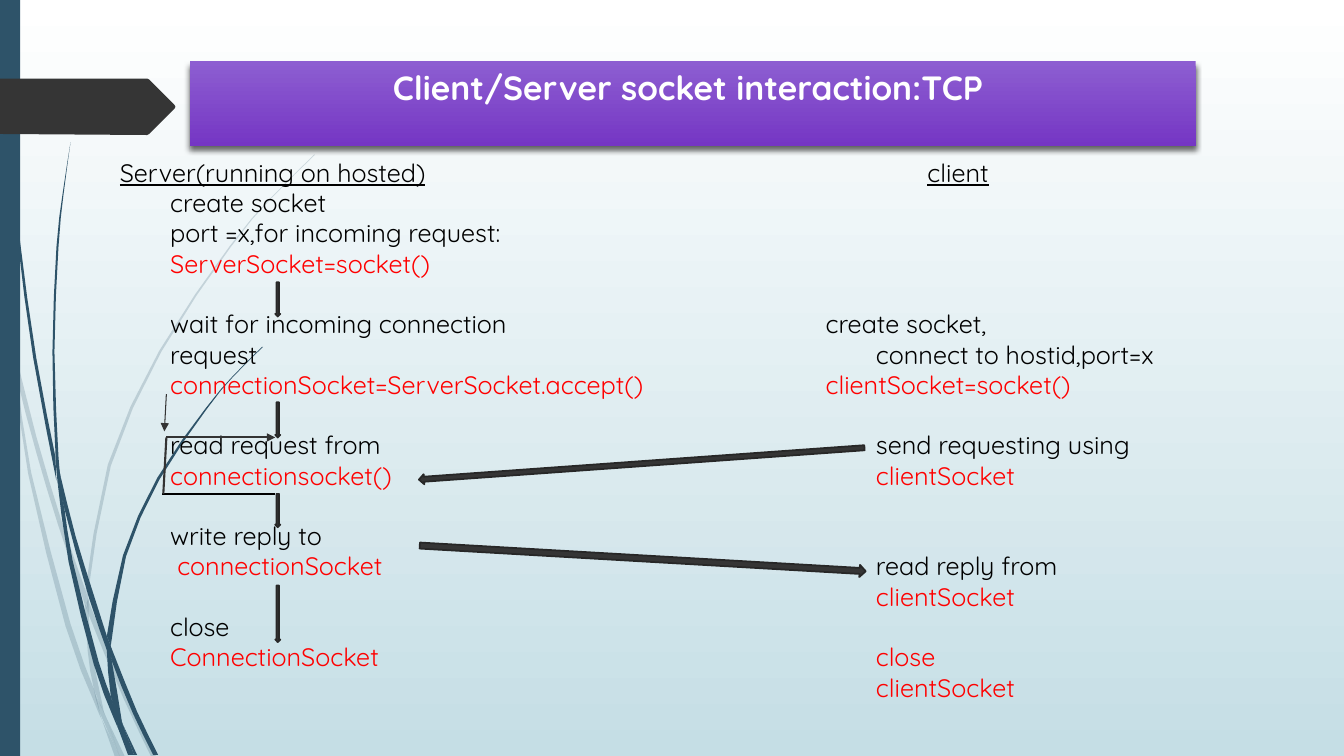
from lxml import etree
from pptx import Presentation
from pptx.dml.color import RGBColor
from pptx.enum.shapes import MSO_CONNECTOR, MSO_SHAPE
from pptx.enum.text import MSO_ANCHOR, PP_ALIGN
from pptx.oxml.ns import qn
from pptx.util import Inches, Pt

RECT, DOWN = MSO_SHAPE.RECTANGLE, MSO_SHAPE.DOWN_ARROW
LEFT, RIGHT = MSO_SHAPE.LEFT_ARROW, MSO_SHAPE.RIGHT_ARROW
STRAIGHT, TOP, CENTER = MSO_CONNECTOR.STRAIGHT, MSO_ANCHOR.TOP, PP_ALIGN.CENTER
TEAL, DARK, EDGE, RULE = "2E5369", "353535", "272727", "333333"
BLACK, RED, WHITE = "000000", "FF0000", "FFFFFF"


def rgb(color):
    return RGBColor.from_string(color)


def sub(parent, tag, **attrs):
    return etree.SubElement(parent, qn(tag), {k: str(v) for k, v in attrs.items()})


def smooth(points):
    """Catmull-Rom curve: the points, and one more midway between neighbours."""
    pts = [points[0], *points, points[-1]]
    curve = [points[0]]
    for a, b, c, d in zip(pts, pts[1:], pts[2:], pts[3:]):
        curve += [tuple((9 * (q + r) - p - u) / 16 for p, q, r, u in zip(a, b, c, d)), c]
    return curve


class Deck:
    font, size, pitch = "Quicksand", 18, 21.62

    def __init__(self, slide):
        self.s = slide

    def gradient(self, fill, start, end):
        fill.gradient()
        fill.gradient_angle = 270
        for stop, color in zip(fill.gradient_stops, (start, end)):
            stop.color.rgb = rgb(color)

    def paint(self, sp, fill, line=None):
        sp.shadow.inherit = False
        sp.fill.solid()
        sp.fill.fore_color.rgb = rgb(fill)
        if line:
            sp.line.color.rgb = rgb(line)
            sp.line.width = Pt(1.25)
        else:
            sp.line.fill.background()
        return sp

    def shape(self, kind, x, y, w, h, fill, line=None, rotation=0):
        sp = self.s.shapes.add_shape(kind, Inches(x), Inches(y), Inches(w), Inches(h))
        sp.rotation = rotation
        return self.paint(sp, fill, line)

    def outline(self, points, fill, opacity=100):
        pts = [(Inches(x), Inches(y)) for x, y in points]
        fb = self.s.shapes.build_freeform(*pts[0])
        fb.add_line_segments(pts[1:])
        sp = self.paint(fb.convert_to_shape(), fill)
        if opacity < 100:
            color = sp._element.spPr.find(qn("a:solidFill"))[0]
            sub(color, "a:alpha", val=opacity * 1000)

    def line(self, x1, y1, x2, y2, color, width=1.5, arrow=False):
        c = self.s.shapes.add_connector(
            STRAIGHT, Inches(x1), Inches(y1), Inches(x2), Inches(y2))
        c.line.color.rgb = rgb(color)
        c.line.width = Pt(width)
        if arrow:
            sub(c.line._get_or_add_ln(), "a:tailEnd", type="triangle")
        sub(c._element.spPr, "a:effectLst")

    def banner(self, x, y, w, h, text):
        sp = self.shape(RECT, x, y, w, h, WHITE)
        self.gradient(sp.fill, "8D5ED1", "7536C4")
        effects = sp._element.spPr.find(qn("a:effectLst"))
        shadow = sub(effects, "a:outerShdw", blurRad=Pt(4), dist=Pt(3),
                     dir=5400000, rotWithShape=0)
        sub(sub(shadow, "a:srgbClr", val=BLACK), "a:alpha", val=60000)
        sp.text_frame.vertical_anchor = TOP
        p = sp.text_frame.paragraphs[0]
        p.text, p.alignment = text, CENTER
        p.font.name, p.font.size, p.font.bold = self.font, Pt(24), True
        p.font.color.rgb = rgb(WHITE)

    def steps(self, x, y, w, h, rows):
        """Rows of line number and cells (tab stop, text, colour)."""
        tf = self.s.shapes.add_textbox(Inches(x), Inches(y), Inches(w), Inches(h)).text_frame
        tf.word_wrap = True
        last = -1
        for i, (row, *cells) in enumerate(rows):
            p = tf.add_paragraph() if i else tf.paragraphs[0]
            p.line_spacing = Pt(self.pitch)
            p.space_before = Pt((row - last - 1) * self.pitch)
            last = row
            tabs = sub(p._p.get_or_add_pPr(), "a:tabLst")
            p.font.name, p.font.size = self.font, Pt(self.size)
            for stop, text, color in cells:
                if stop:
                    sub(tabs, "a:tab", pos=Inches(stop), algn="l")
                    p.add_run().text = "\t"
                r = p.add_run()
                r.text = text
                r.font.color.rgb = rgb(color)
                r.font.underline = i == 0


prs = Presentation()
prs.slide_width, prs.slide_height = Inches(13.33), Inches(7.5)
d = Deck(prs.slides.add_slide(prs.slide_layouts[6]))
d.gradient(d.s.background.fill, WHITE, "C5DEE5")

# Decorative wisps: each piece has two edges; pale ones behind, solid in front
PALE = [
    ([(0, 2.82), (0.09, 3.22), (0.11, 3.5)], [(0, 2.99), (0.1, 3.44), (0.11, 3.5)]),
    ([(0.14, 3.45), (0.17, 3.76), (0.36, 4.49), (0.58, 5.22), (0.84, 5.99)],
     [(0.14, 3.45), (0.36, 4.33), (0.62, 5.2), (0.85, 5.86)]),
    ([(0.88, 5.96), (0.88, 6.1), (1.23, 6.94), (1.5, 7.51)],
     [(0.88, 5.96), (0.92, 6.07), (1.27, 6.92), (1.55, 7.51)]),
    ([(1.05, 7.11), (1.19, 7.51)], [(1.05, 7.11), (1.24, 7.51)]),
    ([(0.11, 3.5), (0.28, 4.7), (0.65, 6.21), (0.92, 6.93), (1.01, 7.14)],
     [(0.11, 3.5), (0.17, 3.76), (0.31, 4.69), (0.7, 6.19), (0.93, 6.83), (0.99, 7.07)]),
    ([(0.84, 5.99), (0.87, 6.46), (0.93, 6.83), (1.05, 7.11)],
     [(0.84, 5.99), (0.88, 6.1), (0.91, 6.46), (1.03, 7.06)]),
    ([(3.12, 1.53), (2.68, 1.97), (2.28, 2.44), (1.58, 3.48), (1.07, 4.61), (0.85, 5.84)],
     [(3.12, 1.54), (2.68, 1.98), (2.29, 2.45), (1.6, 3.49), (1.1, 4.62),
      (0.88, 5.84), (0.88, 5.96)]),
    ([(1.01, 7.14), (1.14, 7.51)], [(1.01, 7.14), (1.19, 7.51)]),
    ([(0.85, 5.86), (0.84, 5.99)], [(0.88, 5.96), (0.88, 6.1)]),
    ([(0.93, 6.83), (0.99, 7.07), (1.19, 7.51)], [(0.96, 6.92), (1.05, 7.11), (1.19, 7.51)]),
]
SOLID = [
    ([(0.03, 0), (0.04, 0.48), (0.07, 1.1), (0.17, 2.33), (0.33, 3.55), (0.56, 4.77)],
     [(0.04, 0), (0.05, 0.48), (0.08, 1.09), (0.19, 2.32), (0.36, 3.55), (0.55, 4.53)]),
    ([(0.6, 4.72), (0.64, 5.05), (0.88, 5.92), (1.06, 6.45)],
     [(0.6, 4.72), (0.75, 5.32), (0.93, 5.9), (1.06, 6.31)]),
    ([(1.1, 6.41), (1.11, 6.56), (1.32, 7.08), (1.52, 7.49)],
     [(1.1, 6.41), (1.13, 6.49), (1.36, 7.06), (1.57, 7.49)]),
    ([(0.57, 4.77), (0.68, 5.57), (0.93, 6.59), (1.11, 7.08), (1.17, 7.22)],
     [(0.57, 4.77), (0.64, 5.05), (0.72, 5.56), (0.98, 6.57), (1.1, 6.91), (1.16, 7.17)]),
    ([(0.7, 1.41), (0.62, 1.93), (0.56, 2.45), (0.52, 3.49), (0.55, 4.49), (0.6, 4.72)],
     [(0.7, 1.41), (0.63, 1.93), (0.58, 2.45), (0.54, 3.49), (0.58, 4.53), (0.6, 4.72)]),
    ([(1.22, 7.19), (1.33, 7.49)], [(1.22, 7.19), (1.36, 7.49)]),
    ([(0.55, 4.49), (0.57, 4.77), (0.64, 5.05)], [(0.55, 4.49), (0.6, 4.72), (0.64, 5.05)]),
    ([(2.6, 3.44), (2.31, 3.73), (2.04, 4.05), (1.56, 4.74), (1.22, 5.51), (1.06, 6.31)],
     [(2.61, 3.44), (2.31, 3.74), (2.05, 4.06), (1.58, 4.76), (1.25, 5.52),
      (1.11, 6.33), (1.1, 6.41)]),
    ([(1.17, 7.22), (1.27, 7.49)], [(1.17, 7.22), (1.31, 7.49)]),
    ([(1.06, 6.45), (1.1, 6.91), (1.22, 7.19)], [(1.06, 6.45), (1.11, 6.56), (1.21, 7.16)]),
    ([(1.06, 6.31), (1.06, 6.45)], [(1.1, 6.41), (1.11, 6.56)]),
    ([(1.1, 6.91), (1.17, 7.22), (1.3, 7.49)], [(1.1, 6.91), (1.22, 7.19), (1.33, 7.49)]),
]
for wisps, opacity in ((PALE, 20), (SOLID, 100)):
    for left, right in wisps:
        d.outline(smooth(left) + smooth(right)[::-1], TEAL, opacity)

# Side bar and pointer tab
d.shape(RECT, 0, 0, 0.2, 7.5, TEAL)
d.outline([(0, 0.78), (1.46, 0.78), (1.48, 0.79), (1.73, 1.04), (1.74, 1.06),
           (1.73, 1.08), (1.48, 1.33), (1.46, 1.34), (0, 1.33)], DARK)

# Heading
d.banner(1.88, 0.61, 9.98, 0.84, "Client/Server socket interaction:TCP ")

# Server steps with the client steps beside them
d.steps(1.09, 1.51, 11.33, 5.76, [
    (0, (0, "Server(running on hosted)", BLACK), (8.01, "client", BLACK)),
    (1, (0.5, "create socket", BLACK)),
    (2, (0.5, "port =x,for incoming request:", BLACK)),
    (3, (0.5, "ServerSocket=socket()", RED)),
    (5, (0.5, "wait for incoming connection", BLACK), (7, "create socket,", BLACK)),
    (6, (0.5, "request", BLACK), (7.5, "connect to hostid,port=x", BLACK)),
    (7, (0.5, "connectionSocket=ServerSocket.accept()", RED), (7, "clientSocket=socket()", RED)),
    (9, (0.5, "read request from", BLACK), (7.5, "send requesting using", BLACK)),
    (10, (0.5, "connectionsocket()", RED), (7.5, "clientSocket", RED)),
    (12, (0.5, "write reply to", BLACK)),
    (13, (0.57, "connectionSocket", RED), (7.5, "read reply from", BLACK)),
    (14, (7.5, "clientSocket", RED)),
    (15, (0.5, "close", BLACK)),
    (16, (0.5, "ConnectionSocket", RED), (7.5, "close", RED)),
    (17, (7.5, "clientSocket", RED)),
])

# Server flow
for y, h in ((2.8, 0.34), (3.99, 0.35), (4.9, 0.33), (5.81, 0.56)):
    d.shape(DOWN, 2.73, y, 0.05, h, DARK, EDGE)

# Loop back to the read step
d.line(2.73, 4.9, 1.61, 4.9, BLACK)
d.line(1.62, 4.9, 1.65, 4.34, RULE)
d.line(1.65, 3.91, 1.63, 4.28, RULE, 0.75, arrow=True)
d.line(1.65, 4.34, 2.73, 4.34, RULE, arrow=True)

# Request and reply
d.shape(LEFT, 4.15, 4.55, 4.43, 0.1, DARK, EDGE, 355.9)
d.shape(RIGHT, 4.16, 5.48, 4.43, 0.12, DARK, EDGE, 3.3)

prs.save("out.pptx")
